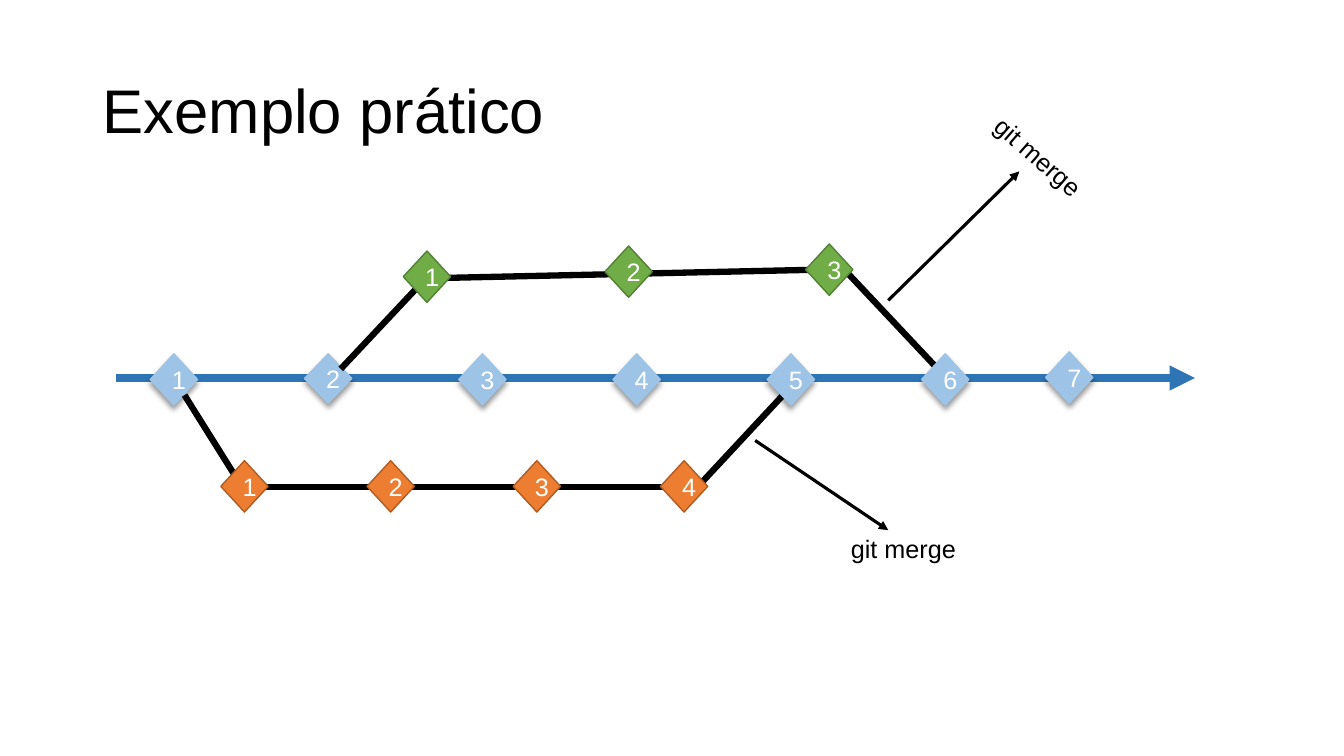
from lxml import etree
from pptx import Presentation
from pptx.dml.color import RGBColor
from pptx.enum.shapes import MSO_CONNECTOR, MSO_SHAPE
from pptx.enum.text import MSO_ANCHOR, MSO_AUTO_SIZE, PP_ALIGN
from pptx.oxml import parse_xml
from pptx.oxml.ns import nsdecls, qn
from pptx.util import Pt

PX = 9144  # 100 px to the inch
DIAMOND = MSO_SHAPE.DIAMOND
STRAIGHT = MSO_CONNECTOR.STRAIGHT
MIDDLE, TOP = MSO_ANCHOR.MIDDLE, MSO_ANCHOR.TOP
CENTER = PP_ALIGN.CENTER
GROW, FIXED = MSO_AUTO_SIZE.SHAPE_TO_FIT_TEXT, MSO_AUTO_SIZE.NONE

BLACK = RGBColor(0x00, 0x00, 0x00)
WHITE = RGBColor(0xFF, 0xFF, 0xFF)
AXIS = RGBColor(0x2E, 0x75, 0xB6)
BLUE = RGBColor(0x9D, 0xC3, 0xE6)
ORANGE = RGBColor(0xED, 0x7D, 0x31)
RUST = RGBColor(0xAF, 0x5C, 0x24)
GREEN = RGBColor(0x70, 0xAD, 0x47)
MOSS = RGBColor(0x53, 0x80, 0x35)

SHADOW = (
    f'<a:outerShdw {nsdecls("a")} blurRad="50800" dist="38100" dir="5400000" '
    'algn="t" rotWithShape="0"><a:srgbClr val="000000">'
    '<a:alpha val="40000"/></a:srgbClr></a:outerShdw>'
)


class Canvas:
    """Holds the slide and its text style."""

    def __init__(self, slide):
        self.shapes = slide.shapes
        self.style = {"name": "Arial", "size": Pt(18)}

    def fill_text(self, frame, text, color, **extra):
        para = frame.paragraphs[0]
        run = para.add_run()
        run.text = text
        for key, value in {**self.style, **extra}.items():
            setattr(run.font, key, value)
        run.font.color.rgb = color
        return para

    def label(self, box, text, anchor=TOP, fit=GROW, turn=0, **extra):
        shape = self.shapes.add_textbox(*(n * PX for n in box))
        shape.rotation = turn
        form = {"word_wrap": True, "auto_size": fit, "vertical_anchor": anchor}
        for key, value in form.items():
            setattr(shape.text_frame, key, value)
        return self.fill_text(shape.text_frame, text, BLACK, **extra)

    def line(self, start, end, color=BLACK, width=4.5, arrow=False):
        link = self.shapes.add_connector(
            STRAIGHT, *(n * PX for n in (*start, *end)))
        link.line.color.rgb = color
        link.line.width = Pt(width)
        props = link._element.spPr
        if arrow:
            tail = etree.SubElement(props.find(qn("a:ln")), qn("a:tailEnd"))
            tail.set("type", "triangle")
        etree.SubElement(props, qn("a:effectLst"))

    def commit(self, spot, text, fill, edge, high=51, raised=False):
        shape = self.shapes.add_shape(
            DIAMOND, *(n * PX for n in (*spot, 47, high)))
        shape.fill.solid()
        shape.fill.fore_color.rgb = fill
        shape.line.color.rgb = edge
        shape.line.width = Pt(1)
        shape.shadow.inherit = False
        if raised:
            glow = shape._element.spPr.find(qn("a:effectLst"))
            glow.append(parse_xml(SHADOW))
        shape.text_frame.vertical_anchor = MIDDLE
        self.fill_text(shape.text_frame, text, WHITE).alignment = CENTER

    def branch(self, spots, fill, edge, **extra):
        for num, spot in enumerate(spots, 1):
            high = 49 if extra and num == 2 else 51
            self.commit(spot, str(num), fill, edge, high, **extra)


def main():
    deck = Presentation()
    deck.slide_width, deck.slide_height = 1333 * PX, 750 * PX
    art = Canvas(deck.slides.add_slide(deck.slide_layouts[6]))

    # Merges back into the main branch
    art.line((837, 267), (931, 367))
    art.line((785, 383), (692, 483))

    # Title
    title = art.label((92, 40, 1150, 145), "Exemplo prático",
                      anchor=MIDDLE, fit=FIXED, size=Pt(44))
    title.line_spacing = 0.9

    # Main branch
    art.line((115, 375), (1185, 375), AXIS, 6, arrow=True)
    steps = [(149 + 153 * i, 351) for i in range(6)]
    art.branch(steps + [(1037, 349)], BLUE, BLUE, raised=True)

    # Lower branch
    art.line((240, 483), (692, 483))
    art.line((183, 392), (240, 483))
    art.branch([(219 + 436 * i // 3, 457) for i in range(4)], ORANGE, RUST)

    # Upper branch
    art.line((431, 267), (338, 366))
    art.line((429, 276), (837, 267))
    art.branch([(400, 249), (600, 244), (799, 242)], GREEN, MOSS)

    # Merge notes
    art.line((881, 298), (1011, 170), width=2.25, arrow=True)
    art.label((962, 151, 172, 40), "git merge", turn=41.2)
    art.line((749, 437), (881, 526), width=2.25, arrow=True)
    art.label((834, 524, 172, 40), "git merge")

    deck.save("out.pptx")


if __name__ == "__main__":
    main()
